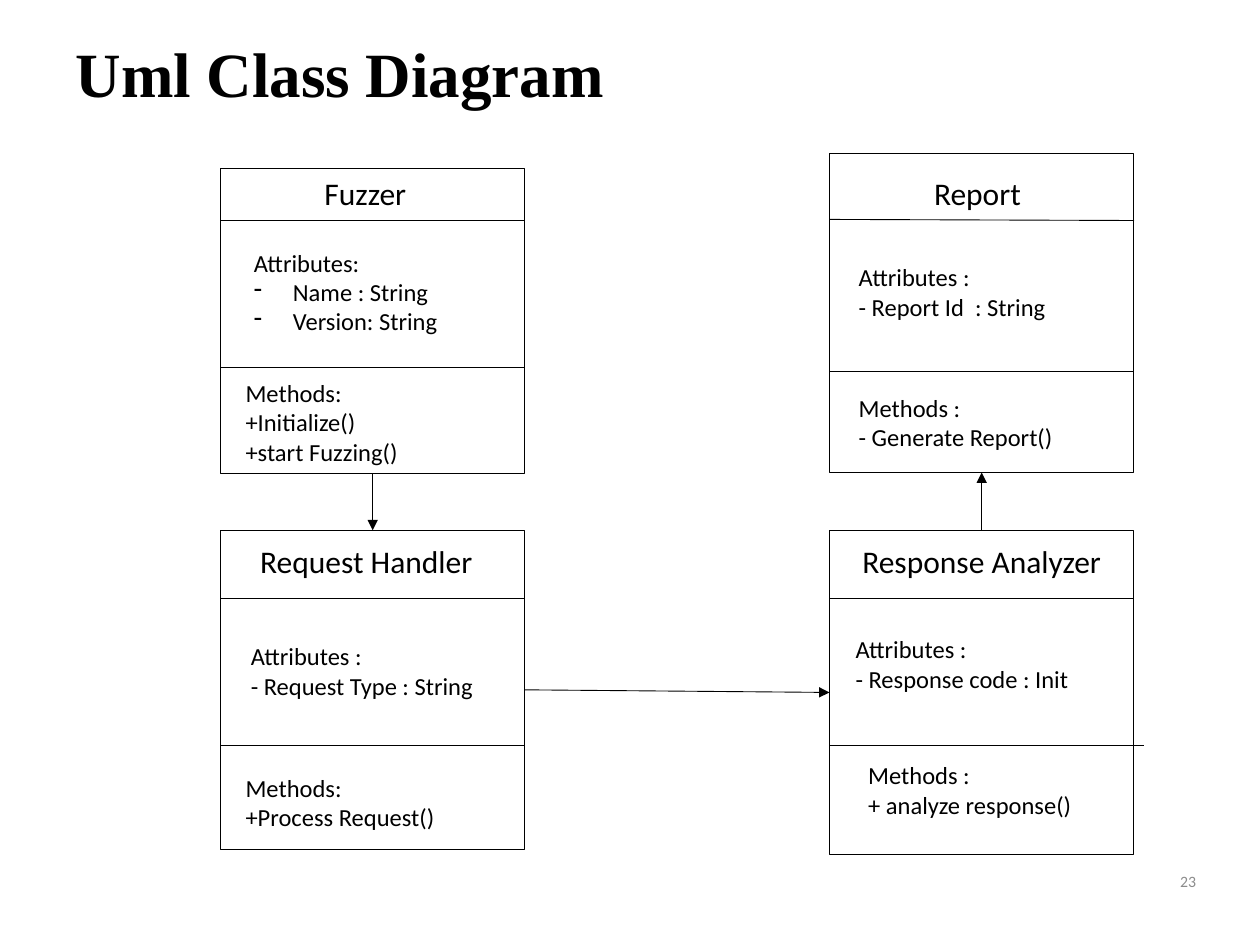
from dataclasses import dataclass
from typing import Any

from lxml.etree import SubElement
from pptx import Presentation
from pptx.dml.color import RGBColor
from pptx.enum.shapes import MSO_CONNECTOR, MSO_SHAPE
from pptx.enum.text import MSO_ANCHOR, MSO_AUTO_SIZE, PP_ALIGN
from pptx.oxml.ns import qn
from pptx.util import Inches, Pt


@dataclass(frozen=True)
class Theme:
    ink: RGBColor = RGBColor(0, 0, 0)
    paper: RGBColor = RGBColor(255, 255, 255)
    gray: RGBColor = RGBColor(0x8C, 0x8C, 0x8C)
    face: str = "Calibri"
    serif: str = "Times New Roman"
    title: int = 36
    head: int = 18
    body: int = 14
    note: int = 9
    line: float = 0.5


@dataclass(frozen=True)
class Block:
    left: float
    top: float
    lines: tuple[str, ...]
    dash: bool = False


@dataclass(frozen=True)
class Card:
    name: str
    mid: float
    head: float
    left: float
    top: float
    foot: float
    rules: tuple[tuple[float, float, float], ...]
    blocks: tuple[Block, ...]


THEME = Theme()
WIDTH, HEIGHT = Inches(10), Inches(7.5)
COLS, ROWS = 120, 90
SPAN = 29
WEST, EAST = 21, 79

CARDS = (
    Card("Fuzzer", 34.8, 16, WEST, 16, 45.1,
         ((21, 21, SPAN), (35, 35, SPAN)),
         (Block(23, 23, ("Attributes:", "Name : String", "Version: String"), True),
          Block(22.2, 35.4, ("Methods:", "+Initialize()", "+start Fuzzing()")))),
    Card("Report", 93.1, 16, EAST, 14.6, 45,
         ((20.9, 21, SPAN), (35.4, 35.4, SPAN)),
         (Block(80.6, 24.4, ("Attributes :", "- Report Id  : String")),
          Block(80.6, 36.8, ("Methods :", "- Generate Report()")))),
    Card("Request Handler", 34.9, 51, WEST, 50.5, 80.9,
         ((57, 57, SPAN), (71, 71, SPAN)),
         (Block(22.7, 60.5, ("Attributes :", "- Request Type : String")),
          Block(22.2, 73, ("Methods:", "+Process Request()")))),
    Card("Response Analyzer", 93.5, 51, EAST, 50.5, 81.4,
         ((57, 57, SPAN), (71, 71, SPAN + 1)),
         (Block(80.3, 59.8, ("Attributes :", "- Response code : Init")),
          Block(81.5, 71.8, ("Methods :", "+ analyze response()")))),
)

LINKS = (
    ("Fuzzer", 2, "Request Handler", 0),
    ("Request Handler", 3, "Response Analyzer", 1),
    ("Response Analyzer", 0, "Report", 2),
)


def col(count: float) -> int:
    return round(WIDTH * count / COLS)


def row(count: float) -> int:
    return round(HEIGHT * count / ROWS)


def style(target: Any, **form: Any) -> None:
    for key, value in form.items():
        setattr(target, key, value)


def ink(font: Any, size: int, color: RGBColor = THEME.ink,
        face: str = THEME.face, bold: bool = False) -> None:
    style(font, size=Pt(size), name=face, bold=bold)
    font.color.rgb = color


def dash(para: Any) -> None:
    props = para._p.get_or_add_pPr()
    for key, value in {"marL": Inches(0.31), "indent": Inches(-0.31)}.items():
        props.set(key, str(value))
    SubElement(props, qn("a:buChar")).set("char", "-")


def write(slide: Any, left: float, top: float, wide: float, tall: float,
          lines: tuple[str, ...], size: int, color: RGBColor = THEME.ink,
          align: Any = PP_ALIGN.LEFT, **form: Any) -> Any:
    box = slide.shapes.add_textbox(col(left), row(top), col(wide), row(tall))
    frame = box.text_frame
    style(frame, text="\n".join(lines), word_wrap=True, **form)
    for para in frame.paragraphs:
        para.alignment = align
        for run in para.runs:
            ink(run.font, size, color)
    return frame


def stroke(slide: Any, left: float, top: float, right: float, low: float) -> Any:
    line = slide.shapes.add_connector(
        MSO_CONNECTOR.STRAIGHT, col(left), row(top), col(right), row(low))
    line.line.width = Pt(THEME.line)
    line.line.color.rgb = THEME.ink
    SubElement(line._element.spPr, qn("a:effectLst"))
    return line


def draw(slide: Any, card: Card) -> Any:
    box = slide.shapes.add_shape(
        MSO_SHAPE.RECTANGLE, col(card.left), row(card.top),
        col(SPAN), row(card.foot - card.top))
    box.shadow.inherit = False
    box.fill.solid()
    box.fill.fore_color.rgb = THEME.paper
    box.line.color.rgb = THEME.ink
    box.line.width = Pt(THEME.line)
    for start, end, wide in card.rules:
        stroke(slide, card.left, start, card.left + wide, end)
    grow = {"auto_size": MSO_AUTO_SIZE.SHAPE_TO_FIT_TEXT}
    write(slide, card.mid - SPAN / 2, card.head, SPAN, 4.8, (card.name,),
          THEME.head, align=PP_ALIGN.CENTER, **grow)
    for block in card.blocks:
        tall = 1.2 + 2.8 * len(block.lines)
        frame = write(slide, block.left, block.top, 26.5, tall,
                      block.lines, THEME.body, **grow)
        if block.dash:
            for para in frame.paragraphs[1:]:
                dash(para)
    return box


def link(slide: Any, start: Any, out: int, end: Any, into: int) -> None:
    line = stroke(slide, 0, 0, 1, 1)
    line.begin_connect(start, out)
    line.end_connect(end, into)
    SubElement(line.line._get_or_add_ln(), qn("a:tailEnd")).set("type", "triangle")


def main() -> None:
    deck = Presentation()
    style(deck, slide_width=WIDTH, slide_height=HEIGHT)
    slide = deck.slides.add_slide(deck.slide_layouts[5])
    title = slide.shapes.title
    style(title, left=col(6), top=row(-0.2), width=col(108), height=row(15))
    style(title.text_frame, text="Uml Class Diagram",
          vertical_anchor=MSO_ANCHOR.MIDDLE)
    para = title.text_frame.paragraphs[0]
    style(para, alignment=PP_ALIGN.LEFT, line_spacing=0.9)
    ink(para.runs[0].font, THEME.title, face=THEME.serif, bold=True)
    write(slide, 109, 82.2, 6.1, 3.4, ("23",), THEME.note, THEME.gray,
          PP_ALIGN.RIGHT, vertical_anchor=MSO_ANCHOR.MIDDLE)
    boxes = {card.name: draw(slide, card) for card in CARDS}
    for start, out, end, into in LINKS:
        link(slide, boxes[start], out, boxes[end], into)
    deck.save("out.pptx")


if __name__ == "__main__":
    main()
